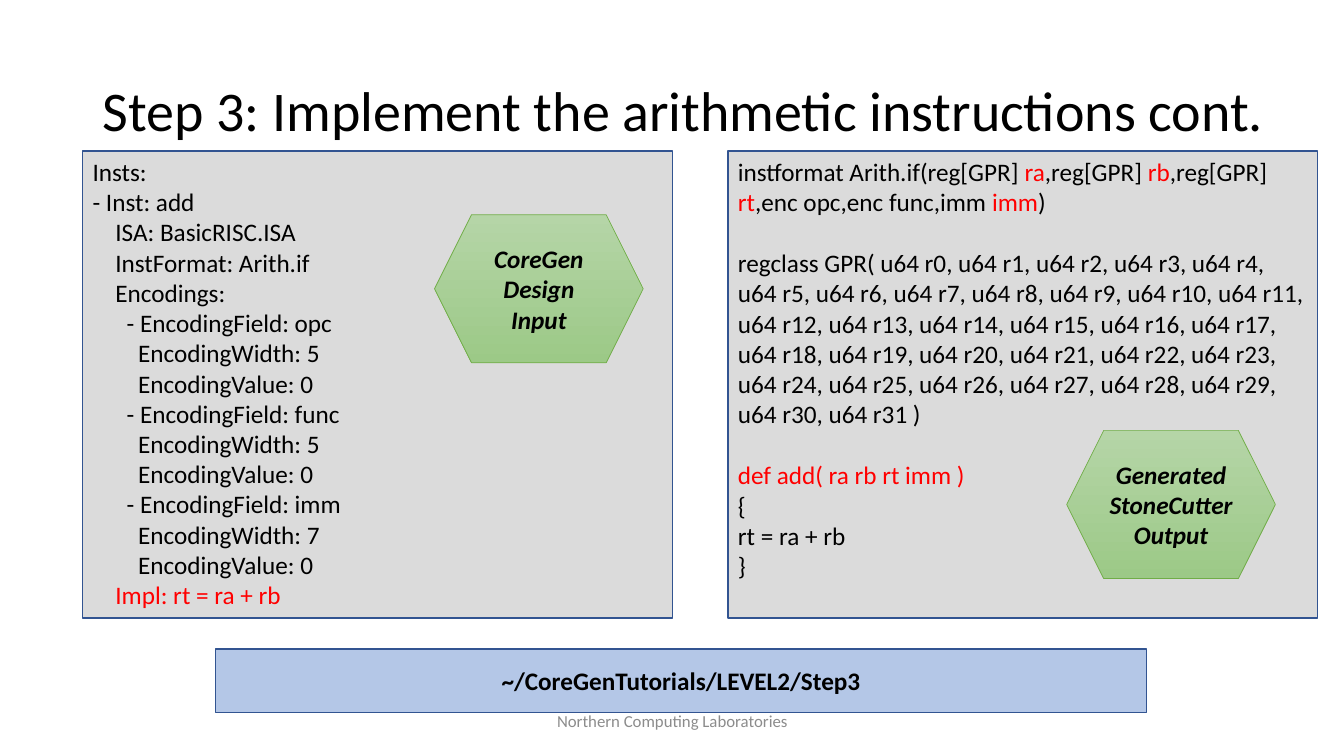
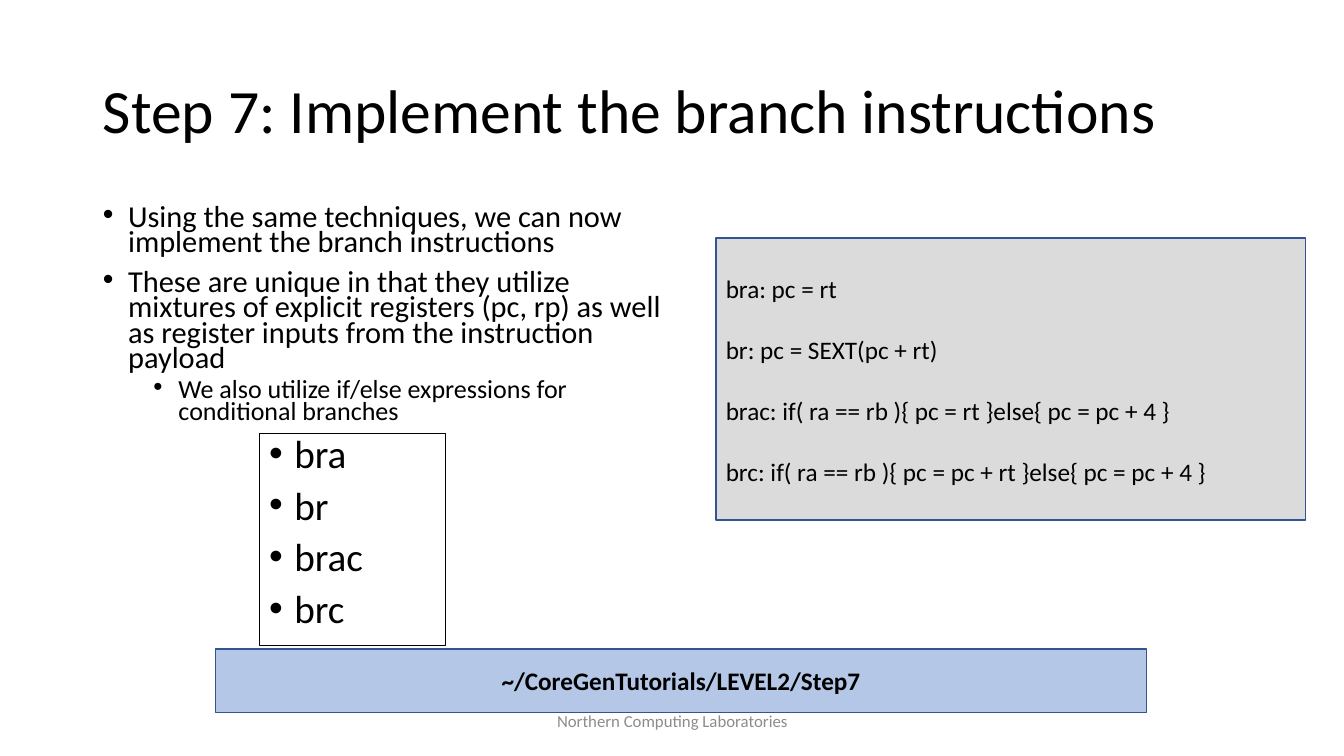
from pptx import Presentation
from pptx.dml.color import RGBColor
from pptx.enum.shapes import MSO_SHAPE as Shape
from pptx.enum.text import MSO_ANCHOR as Anchor, MSO_AUTO_SIZE as AutoSize, PP_ALIGN as Align
from pptx.oxml.ns import qn
from pptx.util import Inches, Pt
from lxml.etree import SubElement

FONT = "Calibri"
COLORS = {name: RGBColor.from_string(value) for name, value in {
    "text": "000000", "accent": "FF0000", "footer": "8C8C8C",
    "path": "B4C7E7", "code": "DBDBDB", "outline": "325491",
    "badge_top": "B5D5A7", "badge_bottom": "9CC987", "badge_line": "70AD47",
}.items()}
CODE_LINE = 22  # height of one code line in points


def add_box(page, kind, at, fill, line, weight, anchor=Anchor.MIDDLE):
    box = page.shapes.add_shape(kind, *map(Inches, at))
    box.shadow.inherit = False
    if fill:
        box.fill.solid()
        box.fill.fore_color.rgb = COLORS[fill]
    else:
        box.fill.background()
    box.line.color.rgb = COLORS[line]
    box.line.width = Pt(weight)
    box.text_frame.word_wrap = True
    box.text_frame.vertical_anchor = anchor
    return box


def write(frame, lines, size, align=Align.LEFT, bold=None, italic=None, color="text",
          bullet=False, spacing=None):
    """Each line is (space before, level, spans); every second span is accented."""
    for index, (before, level, spans) in enumerate(lines):
        para = frame.add_paragraph() if index else frame.paragraphs[0]
        para.level = level
        para.alignment = align
        para.space_before = Pt(before if index else 0)
        if spacing:
            para.line_spacing = spacing
        if bullet:
            props = para._p.get_or_add_pPr()
            props.set("marL", str(Inches(0.25 + 0.5 * level)))
            props.set("indent", str(Inches(-0.25)))
            SubElement(props, qn("a:buFont")).set("typeface", "Arial")
            SubElement(props, qn("a:buChar")).set("char", "•")
        para.font.name = FONT
        para.font.size = Pt(size[level] if isinstance(size, tuple) else size)
        para.font.bold = bold
        para.font.italic = italic
        para.font.color.rgb = COLORS[color]
        for position, text in enumerate(spans):
            span = para.add_run()
            span.text = text
            if position % 2:
                span.font.color.rgb = COLORS["accent"]


deck = Presentation()
deck.slide_width, deck.slide_height = Inches(13.33), Inches(7.5)

# Title, path band and footer on every page
pages = []
for title, size, width, step, layout in [
    ("Step 3: Implement the arithmetic instructions cont.", 40, 11.74, "Step3", 5),
    ("Step 7: Implement the branch instructions", 44, 11.5, "Step7", 1),
]:
    page = deck.slides.add_slide(deck.slide_layouts[layout])
    pages.append(page)
    heading = page.shapes.title
    heading.left, heading.top, heading.width, heading.height = map(
        Inches, (0.92, 0.4, width, 1.45))
    heading.text_frame.auto_size = AutoSize.NONE
    heading.text_frame.vertical_anchor = Anchor.MIDDLE
    write(heading.text_frame, [(0, 0, [title])], size, spacing=0.9)

    footer = page.shapes.add_textbox(*map(Inches, (4.42, 6.95, 4.5, 0.4)))
    footer.text_frame.word_wrap = True
    footer.text_frame.vertical_anchor = Anchor.MIDDLE
    write(footer.text_frame, [(0, 0, ["Northern Computing Laboratories"])], 12,
          Align.CENTER, color="footer")

    band = add_box(page, Shape.RECTANGLE, (2.14, 6.44, 9.23, 0.63), "path", "outline", 1)
    write(band.text_frame, [(0, 0, [f"~/CoreGenTutorials/LEVEL2/{step}"])], 18,
          Align.CENTER, bold=True)

arithmetic, branch = pages

# Arithmetic: design input and generated output
design = [(0, 0, [text]) for text in (
    "Insts:", "- Inst: add", "    ISA: BasicRISC.ISA", "    InstFormat: Arith.if",
    "    Encodings:")]
for field, bits in [("opc", 5), ("func", 5), ("imm", 7)]:
    design += [(0, 0, [text]) for text in (
        f"      - EncodingField: {field}", f"        EncodingWidth: {bits}",
        "        EncodingValue: 0")]
design.append((0, 0, ["    ", "Impl: rt = ra + rb"]))

registers = ", ".join(f"u64 r{number}" for number in range(32))
generated = [
    (0, 0, ["instformat Arith.if(reg[GPR] ", "ra", ",reg[GPR] ", "rb", ",reg[GPR] ", "rt",
            ",enc opc,enc func,imm ", "imm", ")"]),
    (CODE_LINE, 0, [f"regclass GPR( {registers} )"]),
    (CODE_LINE, 0, ["", "def add( ra rb rt imm )"]),
    (0, 0, ["{"]),
    (0, 0, ["rt = ra + rb"]),
    (0, 0, ["}"]),
]
for left, code in [(7.22, generated), (0.82, design)]:
    panel = add_box(arithmetic, Shape.RECTANGLE, (left, 1.5, 5.85, 4.63),
                    "code", "outline", 1, Anchor.TOP)
    write(panel.text_frame, code, 18)

for left, top, label in [(4.31, 2.13, "CoreGen Design Input"),
                         (10.58, 4.27, "Generated StoneCutter Output")]:
    badge = add_box(arithmetic, Shape.HEXAGON, (left, top, 2.07, 1.47),
                    None, "badge_line", 0.5)
    badge.fill.gradient()
    badge.fill.gradient_angle = 270
    for stop, name in zip(badge.fill.gradient_stops, ("badge_top", "badge_bottom")):
        stop.color.rgb = COLORS[name]
    write(badge.text_frame, [(0, 0, [label])], 18, Align.CENTER, bold=True, italic=True)

# Branch: explanation
body = branch.placeholders[1]
body.left, body.top, body.width, body.height = map(Inches, (0.92, 2, 5.75, 2.38))
body.text_frame.auto_size = AutoSize.NONE
write(body.text_frame, [
    (10, 0, ["Using the same techniques, we can now implement the branch instructions"]),
    (10, 0, ["These are unique in that they utilize mixtures of explicit registers (pc, rp) "
             "as well as register inputs from the instruction payload"]),
    (5, 1, ["We also utilize if/else expressions for conditional branches"]),
], (21.7, 18.6), bullet=True, spacing=0.7)

# Branch: implementations, one blank line above each
panel = add_box(branch, Shape.RECTANGLE, (7.1, 2.36, 5.85, 2.8),
                "code", "outline", 1, Anchor.TOP)
panel.text_frame.margin_top = Inches(0.05) + Pt(CODE_LINE)
write(panel.text_frame, [(CODE_LINE, 0, [text]) for text in (
    "bra: pc = rt",
    "br: pc = SEXT(pc + rt)",
    "brac: if( ra == rb ){ pc = rt }else{ pc = pc + 4 }",
    "brc: if( ra == rb ){ pc = pc + rt }else{ pc = pc + 4 }",
)], 18)

# Branch: instruction names
names = add_box(branch, Shape.RECTANGLE, (2.57, 4.3, 1.85, 2.1),
                None, "text", 0.75, Anchor.TOP)
write(names.text_frame, [(10, 0, [name]) for name in ("bra", "br", "brac", "brc")],
      28, bullet=True, spacing=0.8)

deck.save("out.pptx")
